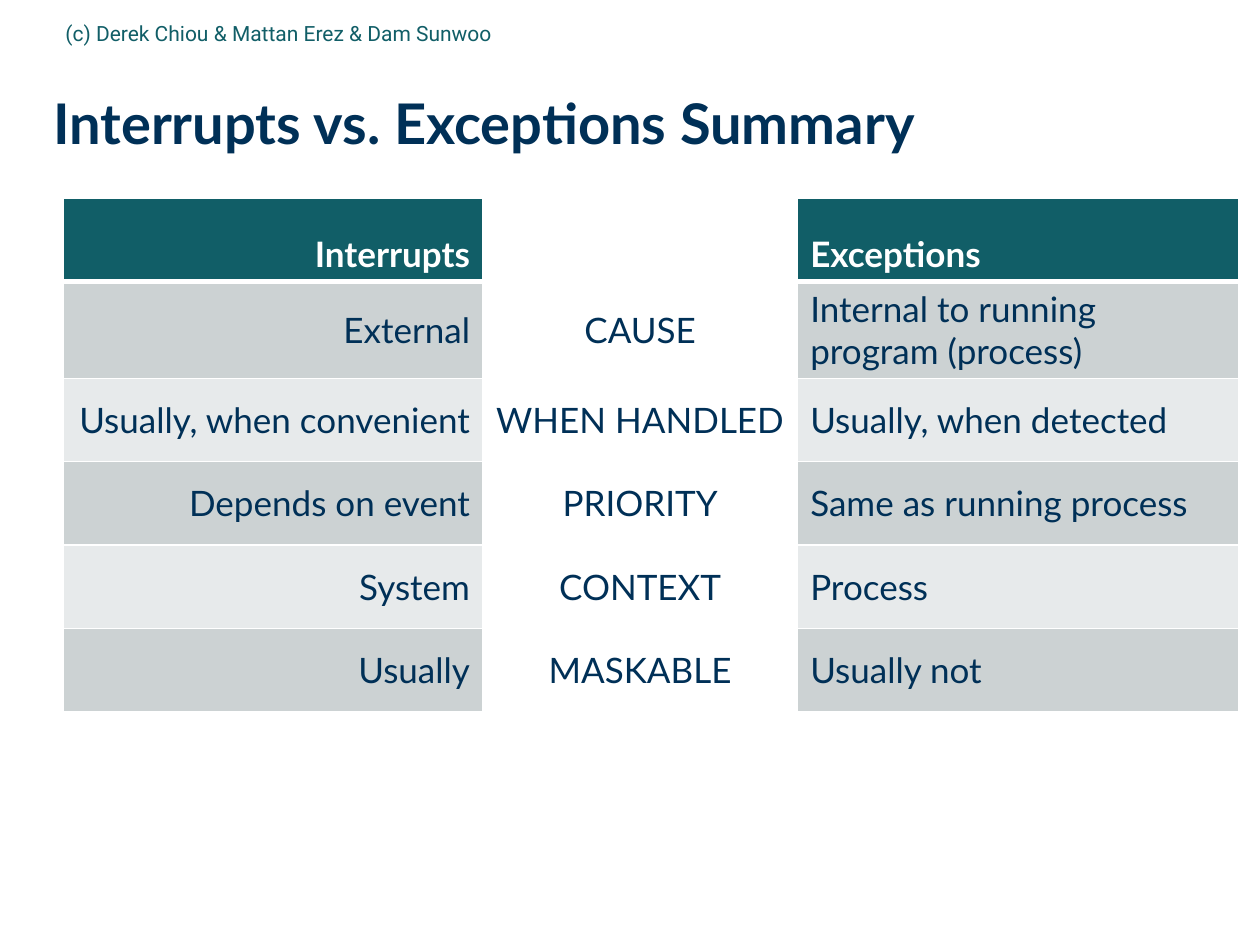
from dataclasses import dataclass

from pptx import Presentation
from pptx import util as u
from pptx.dml.color import RGBColor
from pptx.enum import text
from pptx.oxml import parse_xml
from pptx.oxml.ns import nsdecls

ALIGN = text.PP_ALIGN
MIDDLE = text.MSO_ANCHOR.MIDDLE
BOTTOM = text.MSO_ANCHOR.BOTTOM


@dataclass(frozen=True)
class Theme:
    navy: str = "003057"
    teal: str = "115E67"
    white: str = "FFFFFF"
    bands: tuple = ("CCD2D3", "E7EAEB")
    heading_font: str = "Lato"
    credit_font: str = "Roboto"
    title_size: int = 32
    table_size: int = 20
    credit_size: int = 12


def write_text(frame, content, *, font, size, color, bold=False, align=ALIGN.LEFT, spacing=None):
    paragraph = frame.paragraphs[0]
    paragraph.alignment = align
    paragraph.line_spacing = spacing
    if not content:
        paragraph.font.size = u.Pt(size)
        return
    run = paragraph.add_run()
    run.text = content
    run.font.name = font
    run.font.size = u.Pt(size)
    run.font.bold = bold
    run.font.color.rgb = RGBColor.from_string(color)


def add_borders(cell, color, widths):
    properties = cell._tc.get_or_add_tcPr()
    for side, width in zip("LRTB", widths):
        properties.append(parse_xml(
            f'<a:ln{side} {nsdecls("a")} w="{u.Pt(width)}"><a:solidFill>'
            f'<a:srgbClr val="{color}"/></a:solidFill></a:ln{side}>'))


class SlideBuilder:
    """Builds the parts of one slide in a shared theme."""

    def __init__(self, presentation, theme):
        self.theme = theme
        self.slide = presentation.slides.add_slide(presentation.slide_layouts[5])

    def title(self, content, left, top, width, height):
        shape = self.slide.shapes.title
        shape.left, shape.top, shape.width, shape.height = map(u.Cm, (left, top, width, height))
        frame = shape.text_frame
        frame.auto_size = text.MSO_AUTO_SIZE.NONE
        frame.word_wrap = True
        frame.vertical_anchor = MIDDLE
        frame.margin_left = frame.margin_right = frame.margin_top = frame.margin_bottom = 0
        write_text(frame, content, font=self.theme.heading_font, size=self.theme.title_size,
                   color=self.theme.navy, bold=True, spacing=0.99)

    def credit(self, content, left, top, width, height):
        frame = self.slide.shapes.add_textbox(*map(u.Cm, (left, top, width, height))).text_frame
        frame.word_wrap = True
        frame.vertical_anchor = MIDDLE
        write_text(frame, content, font=self.theme.credit_font, size=self.theme.credit_size,
                   color=self.theme.teal)

    def table(self, rows, left, top, widths, heights):
        box = map(u.Cm, (left, top, sum(widths), sum(heights)))
        table = self.slide.shapes.add_table(len(rows), len(widths), *box).table
        for column, width in zip(table.columns, widths):
            column.width = u.Cm(width)
        for row, height in zip(table.rows, heights):
            row.height = u.Cm(height)
        for row_index, row in enumerate(rows):
            for column_index, content in enumerate(row):
                self.cell(table.cell(row_index, column_index), content, row_index, column_index)

    def cell(self, cell, content, row_index, column_index):
        theme = self.theme
        header = row_index == 0
        add_borders(cell, theme.white, (1, 1, 3 if row_index == 1 else 1, 3 if header else 1))
        if column_index == 1:
            fill = theme.white
        else:
            fill = theme.teal if header else theme.bands[(row_index - 1) % 2]
        cell.fill.solid()
        cell.fill.fore_color.rgb = RGBColor.from_string(fill)
        cell.vertical_anchor = BOTTOM if header else MIDDLE
        write_text(cell.text_frame, content, font=theme.heading_font, size=theme.table_size,
                   color=theme.white if header else theme.navy, bold=header,
                   align=(ALIGN.RIGHT, ALIGN.CENTER, ALIGN.LEFT)[column_index])


def main():
    presentation = Presentation()
    presentation.slide_width, presentation.slide_height = u.Cm(25.4), u.Cm(19.05)
    builder = SlideBuilder(presentation, Theme())
    builder.title("Interrupts vs. Exceptions Summary", 1.07, 1.27, 23.9, 2.49)
    comparison = [
        ("Interrupts", "", "Exceptions"),
        ("External", "CAUSE", "Internal to running program (process)"),
        ("Usually, when convenient", "WHEN HANDLED", "Usually, when detected"),
        ("Depends on event", "PRIORITY", "Same as running process"),
        ("System", "CONTEXT", "Process"),
        ("Usually", "MASKABLE", "Usually not"),
    ]
    row_heights = [1.68, 1.75] + [1.68] * 4
    builder.table(comparison, 1.27, 3.99, [8.46, 6.35, 8.89], row_heights)
    builder.credit("(c) Derek Chiou & Mattan Erez & Dam Sunwoo", 1.07, 0.08, 14.4, 1.17)
    presentation.save("out.pptx")


if __name__ == "__main__":
    main()
